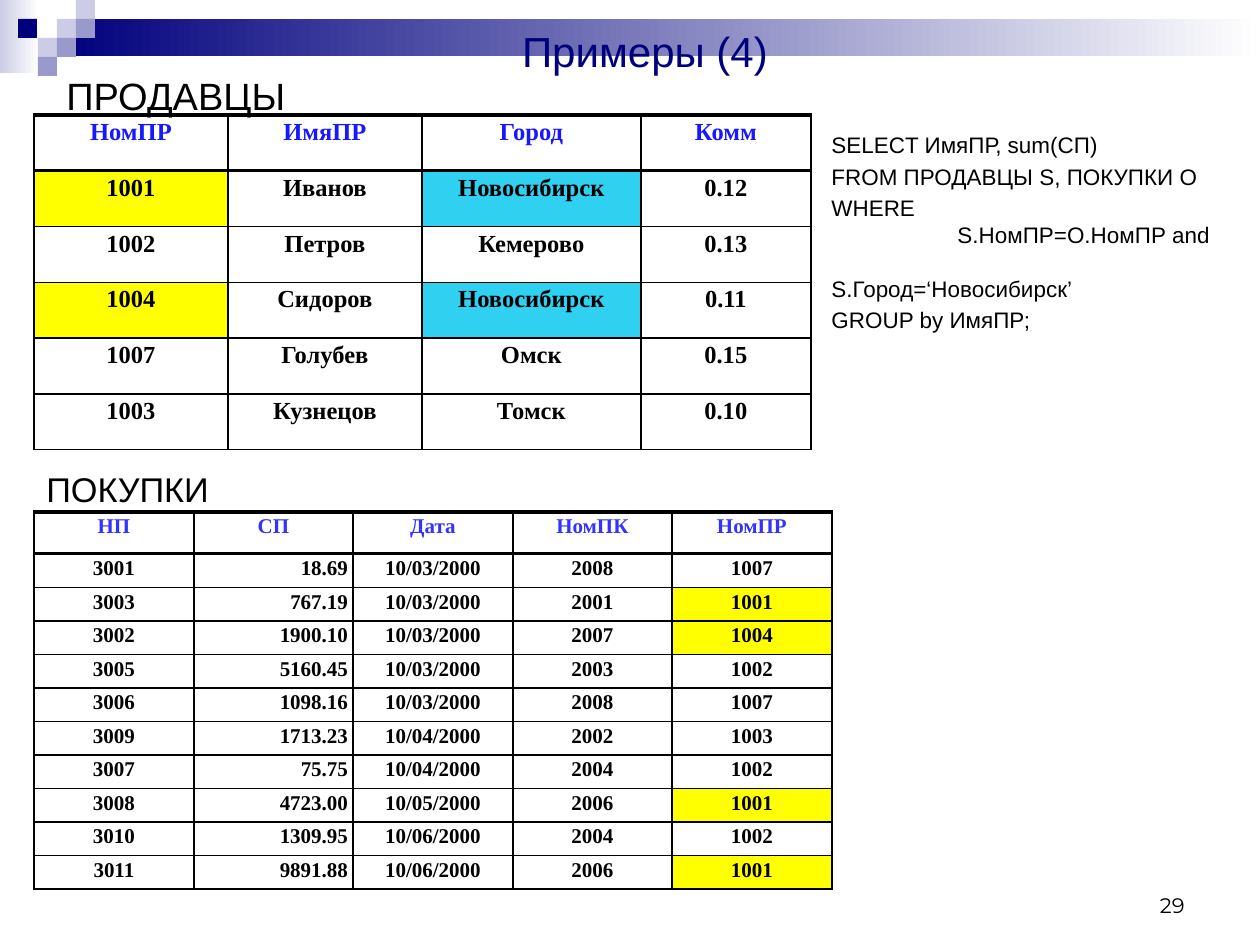
from lxml.etree import SubElement
from pptx import Presentation
from pptx.dml.color import RGBColor
from pptx.enum.shapes import MSO_SHAPE
from pptx.enum.text import MSO_ANCHOR, PP_ALIGN
from pptx.oxml.ns import qn
from pptx.util import Emu, Pt

WHITE = RGBColor(0xFF, 0xFF, 0xFF)
BLACK = RGBColor(0x00, 0x00, 0x00)
NAVY = RGBColor(0x00, 0x00, 0x7D)
LAVENDER = RGBColor(0xCC, 0xCC, 0xE6)
PERIWINKLE = RGBColor(0x99, 0x99, 0xCC)
SELLER_BLUE = RGBColor(0x18, 0x18, 0xFF)
PURCHASE_BLUE = RGBColor(0x33, 0x33, 0xFF)
YELLOW = RGBColor(0xFF, 0xFF, 0x00)
CYAN = RGBColor(0x30, 0xD0, 0xF0)

HIGHLIGHTS = {"1001": YELLOW, "1004": YELLOW, "Новосибирск": CYAN}

SQUARE = 19
SQUARES = [
    (57, 19, LAVENDER), (76, 0, LAVENDER), (76, 19, PERIWINKLE), (38, 38, LAVENDER),
    (18, 19, NAVY), (57, 38, PERIWINKLE), (38, 57, PERIWINKLE),
]

SELLERS = [
    ("НомПР", "ИмяПР", "Город", "Комм"),
    ("1001", "Иванов", "Новосибирск", "0.12"),
    ("1002", "Петров", "Кемерово", "0.13"),
    ("1004", "Сидоров", "Новосибирск", "0.11"),
    ("1007", "Голубев", "Омск", "0.15"),
    ("1003", "Кузнецов", "Томск", "0.10"),
]

PURCHASES = [
    ("НП", "СП", "Дата", "НомПК", "НомПР"),
    ("3001", "18.69", "10/03/2000", "2008", "1007"),
    ("3003", "767.19", "10/03/2000", "2001", "1001"),
    ("3002", "1900.10", "10/03/2000", "2007", "1004"),
    ("3005", "5160.45", "10/03/2000", "2003", "1002"),
    ("3006", "1098.16", "10/03/2000", "2008", "1007"),
    ("3009", "1713.23", "10/04/2000", "2002", "1003"),
    ("3007", "75.75", "10/04/2000", "2004", "1002"),
    ("3008", "4723.00", "10/05/2000", "2006", "1001"),
    ("3010", "1309.95", "10/06/2000", "2004", "1002"),
    ("3011", "9891.88", "10/06/2000", "2006", "1001"),
]

QUERY = [
    ("SELECT ИмяПР, sum(СП)", 0, 0),
    ("FROM ПРОДАВЦЫ S, ПОКУПКИ O", 2.6, 0),
    ("WHERE", 2.6, 0),
    ("S.НомПР=O.НомПР and", 0, 126),
    ("S.Город=‘Новосибирск’", 15.4, 0),
    ("GROUP by ИмяПР;", 2.6, 0),
]


def px(length):
    """Turn px at 126 to the inch into EMU."""
    return Emu(round(length * 914400 / 126))


class SlideBuilder:
    """Holds the slide and its style, and draws each kind of element."""

    text_font = "Arial"
    table_font = "Times New Roman"
    thin, thick = Pt(1), Pt(2)

    def __init__(self, slide):
        self.slide = slide

    def rectangle(self, left, top, width, height, *colors):
        shape = self.slide.shapes.add_shape(
            MSO_SHAPE.RECTANGLE, px(left), px(top), px(width), px(height))
        shape.shadow.inherit = False
        shape.line.fill.background()
        if len(colors) == 1:
            shape.fill.solid()
            shape.fill.fore_color.rgb = colors[0]
            return
        shape.fill.gradient()
        shape.fill.gradient_angle = 0
        for stop, color in zip(shape.fill.gradient_stops, colors):
            stop.color.rgb = color

    def format_font(self, font, name, size, color, bold=False):
        font.name = name
        font.size = Pt(size)
        font.bold = bold
        font.color.rgb = color

    def text(self, box, text, size, color=BLACK, font=text_font,
             align=PP_ALIGN.LEFT, anchor=MSO_ANCHOR.TOP):
        text_frame = self.slide.shapes.add_textbox(*map(px, box)).text_frame
        text_frame.word_wrap = True
        text_frame.vertical_anchor = anchor
        text_frame.text = text
        for paragraph in text_frame.paragraphs:
            paragraph.alignment = align
            for run in paragraph.runs:
                self.format_font(run.font, font, size, color)
        return text_frame

    def query(self, box, lines, size):
        text_frame = self.text(box, "\n".join(line for line, _, _ in lines), size)
        for paragraph, (_, space, indent) in zip(text_frame.paragraphs, lines):
            paragraph.line_spacing = Pt(15.4)
            if space:
                paragraph.space_before = Pt(space)
            if indent:
                paragraph._p.get_or_add_pPr().set("marL", str(px(indent)))

    def borders(self, cell, row):
        properties = cell._tc.get_or_add_tcPr()
        top = self.thick if row < 2 else self.thin
        bottom = self.thick if row == 0 else self.thin
        sides = {"lnL": self.thin, "lnR": self.thin, "lnT": top, "lnB": bottom}
        for side, width in sides.items():
            line = SubElement(properties, qn(f"a:{side}"), w=str(width))
            fill = SubElement(line, qn("a:solidFill"))
            SubElement(fill, qn("a:srgbClr"), val=str(BLACK))

    def table(self, left, top, widths, header_height, height, rows, size,
              header_color, margins, right_column=None):
        table = self.slide.shapes.add_table(
            len(rows), len(widths), px(left), px(top), px(sum(widths)), px(height)).table
        table.first_row = table.horz_banding = False
        for column, width in zip(table.columns, widths):
            column.width = px(width)
        body_height = (height - header_height) / (len(rows) - 1)
        for row, values in enumerate(rows):
            table.rows[row].height = px(body_height if row else header_height)
            for column, value in enumerate(values):
                cell = table.cell(row, column)
                cell.margin_left = cell.margin_right = px(margins[0])
                cell.margin_top = cell.margin_bottom = px(margins[1])
                self.borders(cell, row)
                cell.fill.solid()
                cell.fill.fore_color.rgb = HIGHLIGHTS.get(value, WHITE)
                cell.text_frame.text = value
                paragraph = cell.text_frame.paragraphs[0]
                paragraph.line_spacing = 0.9
                to_right = row and column == right_column
                paragraph.alignment = PP_ALIGN.RIGHT if to_right else PP_ALIGN.CENTER
                self.format_font(paragraph.runs[0].font, self.table_font, size,
                                 BLACK if row else header_color, bold=True)


def main():
    presentation = Presentation()
    presentation.slide_width, presentation.slide_height = px(1260), px(945)
    builder = SlideBuilder(presentation.slides.add_slide(presentation.slide_layouts[6]))

    builder.rectangle(0, 0, 39, 73, LAVENDER, WHITE)
    builder.rectangle(57, 19, 1203, 37, NAVY, WHITE)
    for left, top, color in SQUARES:
        builder.rectangle(left, top, SQUARE, SQUARE, color)

    builder.text((78, 0, 1134, 102), "Примеры (4)", 24, NAVY,
                 align=PP_ALIGN.CENTER, anchor=MSO_ANCHOR.MIDDLE)
    builder.query((819, 125, 432, 218), QUERY, 12.8)
    builder.text((903, 861, 294, 63), "29", 12, font="Montserrat",
                 align=PP_ALIGN.RIGHT, anchor=MSO_ANCHOR.BOTTOM)
    builder.table(34, 512, (160, 159, 160, 159, 160), 42, 377, PURCHASES, 12,
                  PURCHASE_BLUE, (5, 5), right_column=1)
    builder.table(34, 115, (194, 194, 219, 170), 56, 335, SELLERS, 14,
                  SELLER_BLUE, (13, 6))
    builder.text((54, 66, 307, 49), "ПРОДАВЦЫ", 21.7)
    builder.text((34, 462, 307, 49), "ПОКУПКИ", 19.6)
    presentation.save("out.pptx")


if __name__ == "__main__":
    main()
